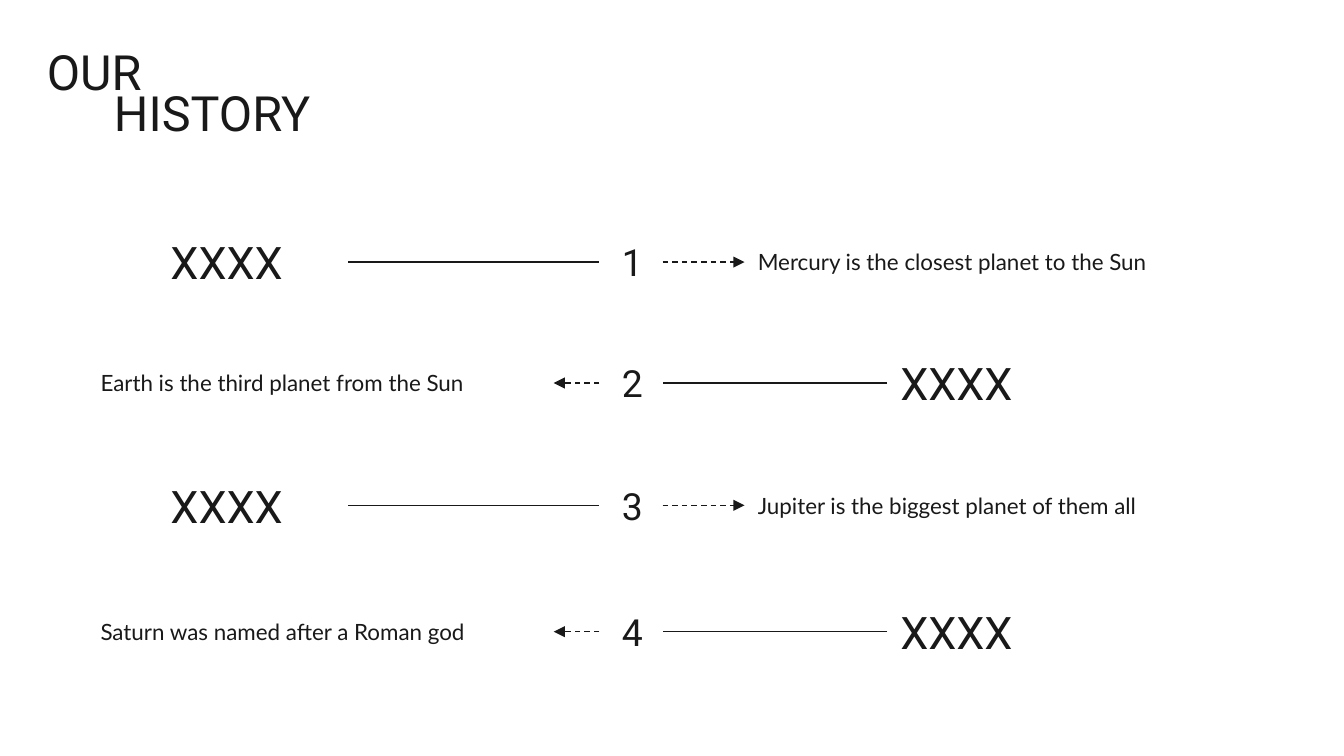
from dataclasses import dataclass

from lxml.etree import SubElement
from pptx import Presentation
from pptx.dml.color import RGBColor
from pptx.enum.dml import MSO_LINE
from pptx.enum.shapes import MSO_CONNECTOR, MSO_SHAPE
from pptx.enum.text import MSO_ANCHOR, PP_ALIGN
from pptx.oxml.ns import qn
from pptx.util import Inches, Pt


@dataclass(frozen=True)
class Theme:
    """Colours, fonts and type sizes of the slide."""
    ink: RGBColor = RGBColor(0x19, 0x19, 0x19)
    paper: RGBColor = RGBColor(0xFF, 0xFF, 0xFF)
    display: str = "Roboto"
    body: str = "Lato"
    title_size: Pt = Pt(26)
    year_size: Pt = Pt(24)
    number_size: Pt = Pt(20)
    event_size: Pt = Pt(12)
    rule: Pt = Pt(0.75)


THEME = Theme()
SLIDE_WIDTH = Inches(10)
SLIDE_HEIGHT = SLIDE_WIDTH * 9 // 16
NUMBER_LEFT, NUMBER_SIZE = 4.46, 0.47
NUMBER_RIGHT = NUMBER_LEFT + NUMBER_SIZE
ROW_HEIGHT, YEAR_WIDTH = 0.54, 1.42
EVENTS = [
    (1.95, "Mercury is the closest planet to the Sun"),
    (2.85, "Earth is the third planet from the Sun"),
    (3.76, "Jupiter is the biggest planet of them all"),
    (4.7, "Saturn was named after a Roman god"),
]


def apply_format(target, values):
    """Set every attribute named in values on target."""
    for name, value in values.items():
        setattr(target, name, value)


def write_text(sp, lines, font, size, anchor=MSO_ANCHOR.MIDDLE, **paragraph):
    """Fill a shape with one styled paragraph per line."""
    tf = sp.text_frame
    sides = ("margin_left", "margin_top", "margin_right", "margin_bottom")
    apply_format(tf, dict.fromkeys(sides, Inches(0.1)))
    apply_format(tf, {"word_wrap": True, "vertical_anchor": anchor})
    for i, line in enumerate(lines):
        p = tf.add_paragraph() if i else tf.paragraphs[0]
        apply_format(p, paragraph)
        r = p.add_run()
        r.text = line
        apply_format(r.font, {"name": font, "size": size})
        r.font.color.rgb = THEME.ink


def add_text(s, left, top, width, height, lines, font, size, **options):
    """Add a text box and return it."""
    sp = s.shapes.add_textbox(*map(Inches, (left, top, width, height)))
    write_text(sp, lines, font, size, **options)
    return sp


def add_title(s):
    """Add the two-line title with its second line indented."""
    sp = add_text(s, 0.25, 0.33, 9.5, 0.63, ["OUR", "HISTORY"], THEME.display,
                  THEME.title_size, anchor=MSO_ANCHOR.TOP, line_spacing=0.7)
    pPr = sp.text_frame.paragraphs[1]._p.get_or_add_pPr()
    pPr.set("marL", "0")
    pPr.set("indent", str(Inches(0.5)))


def add_number(s, y, number):
    """Add a numbered circle centred on the row."""
    box = (NUMBER_LEFT, y - NUMBER_SIZE / 2, NUMBER_SIZE, NUMBER_SIZE)
    sp = s.shapes.add_shape(MSO_SHAPE.OVAL, *map(Inches, box))
    sp.shadow.inherit = False
    sp.fill.background()
    sp.line.fill.background()
    write_text(sp, [str(number)], THEME.display, THEME.number_size,
               alignment=PP_ALIGN.CENTER)


def add_rule(s, start, end, y, arrow=False):
    """Add a horizontal line, dashed with a head when it is an arrow."""
    ends = map(Inches, (start, y, end, y))
    sp = s.shapes.add_connector(MSO_CONNECTOR.STRAIGHT, *ends)
    sp.line.color.rgb = THEME.ink
    sp.line.width = THEME.rule
    if arrow:
        sp.line.dash_style = MSO_LINE.DASH
        SubElement(sp.line._get_or_add_ln(), qn("a:tailEnd"), type="triangle")
    SubElement(sp._element.spPr, qn("a:effectLst"))


def add_event(s, number, y, event):
    """Add one timeline row, with the year left on odd rows and right on even."""
    top = y - ROW_HEIGHT / 2
    if number % 2:
        year_left, event_left, event_width = 1.17, 5.54, 3.81
        rule = (year_left + YEAR_WIDTH, NUMBER_LEFT)
        arrow = (NUMBER_RIGHT, event_left)
    else:
        year_left, event_left, event_width = 6.6, 0.65, 3.47
        rule = (year_left, NUMBER_RIGHT)
        arrow = (NUMBER_LEFT, event_left + event_width)
    add_text(s, event_left, top, event_width, ROW_HEIGHT, [event],
             THEME.body, THEME.event_size)
    add_rule(s, *rule, y)
    add_number(s, y, number)
    add_rule(s, *arrow, y, arrow=True)
    add_text(s, year_left, top, YEAR_WIDTH, ROW_HEIGHT, ["XXXX"],
             THEME.display, THEME.year_size)


def main():
    """Build the history slide and save it."""
    prs = Presentation()
    apply_format(prs, {"slide_width": SLIDE_WIDTH, "slide_height": SLIDE_HEIGHT})
    s = prs.slides.add_slide(prs.slide_layouts[6])
    s.background.fill.solid()
    s.background.fill.fore_color.rgb = THEME.paper
    add_title(s)
    for number, (y, event) in enumerate(EVENTS, start=1):
        add_event(s, number, y, event)
    prs.save("out.pptx")


if __name__ == "__main__":
    main()
